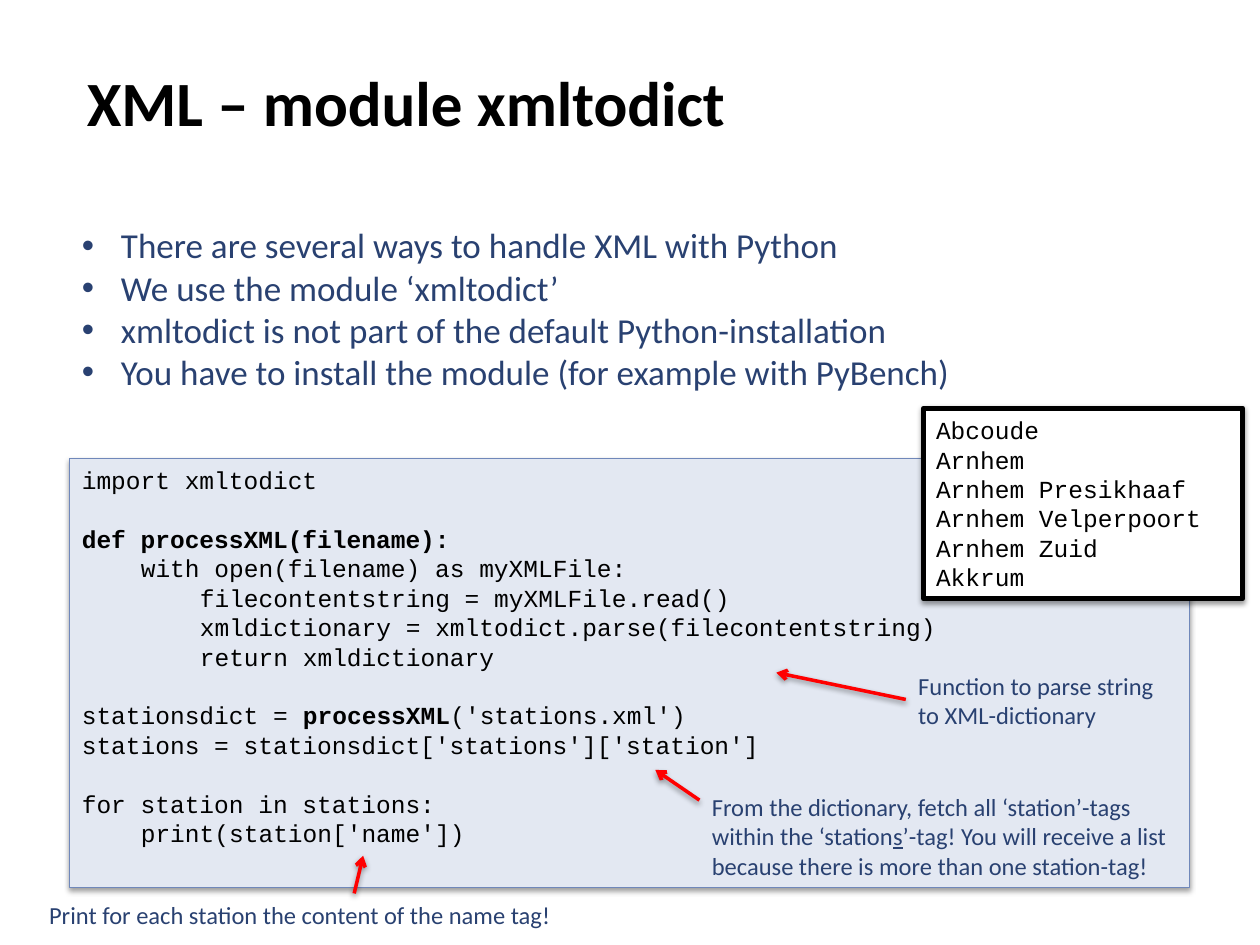
from dataclasses import dataclass
from typing import NamedTuple, Optional

from lxml.etree import SubElement
from pptx import Presentation
from pptx.dml.color import RGBColor
from pptx.enum.shapes import MSO_CONNECTOR, MSO_SHAPE
from pptx.enum.text import MSO_ANCHOR, PP_ALIGN
from pptx.oxml.ns import qn
from pptx.util import Cm, Pt

COLORS = {"navy": "294171", "black": "000000", "white": "FFFFFF",
          "panel": "E3E8F2", "edge": "7088BA", "red": "FF0000"}
CODE_INDENT = 1.19
BULLET_INDENT = 0.79


class Run(NamedTuple):
    """A stretch of text with one format."""
    text: str
    bold: bool = False
    underline: bool = False


@dataclass
class Line:
    """A paragraph with its code level and an optional gap of one line above."""
    runs: list[Run]
    level: int = 0
    gap: bool = False


@dataclass
class Block:
    """A text area; with a fill it is a framed panel."""
    box: tuple[float, float, float, float]
    lines: list[Line]
    size: int = 14
    font: str = "Calibri"
    color: str = "navy"
    bullets: bool = False
    anchor: MSO_ANCHOR = MSO_ANCHOR.MIDDLE
    fill: Optional[str] = None
    edge: str = "black"
    edge_width: float = 0.75


class Arrow(NamedTuple):
    """A pointer from a note to the code it explains."""
    start: tuple[float, float]
    end: tuple[float, float]


def rgb(name: str) -> RGBColor:
    """Return a palette colour."""
    return RGBColor.from_string(COLORS[name])


def plain(*texts: str) -> list[Line]:
    """Turn each text into a line of one run."""
    return [Line([Run(text)]) for text in texts]


def add_shadow(properties) -> None:
    """Put a soft downward shadow on the shape properties."""
    effects = properties.find(qn("a:effectLst"))
    if effects is None:
        effects = SubElement(properties, qn("a:effectLst"))
    shadow = SubElement(effects, qn("a:outerShdw"), blurRad="40000",
                        dist="20000", dir="5400000", rotWithShape="0")
    color = SubElement(shadow, qn("a:srgbClr"), val=COLORS["black"])
    SubElement(color, qn("a:alpha"), val="38000")


def add_bullet(paragraph) -> None:
    """Give the paragraph a round bullet with a hanging indent."""
    properties = paragraph._p.get_or_add_pPr()
    properties.set("marL", str(Cm(BULLET_INDENT)))
    properties.set("indent", str(-Cm(BULLET_INDENT)))
    SubElement(properties, qn("a:buFont"), typeface="Arial")
    SubElement(properties, qn("a:buChar"), char="•")


def write_line(paragraph, line: Line, block: Block) -> None:
    """Fill one paragraph in the style of its block."""
    pitch = Pt(1.2 * block.size)
    paragraph.alignment = PP_ALIGN.LEFT
    paragraph.line_spacing = pitch
    if line.gap:
        paragraph.space_before = pitch
    if line.level:
        paragraph._p.get_or_add_pPr().set("marL", str(Cm(CODE_INDENT * line.level)))
    if block.bullets:
        add_bullet(paragraph)
    for part in line.runs:
        run = paragraph.add_run()
        run.text = part.text
        run.font.name = block.font
        run.font.size = Pt(block.size)
        run.font.bold = part.bold
        run.font.underline = part.underline
        run.font.color.rgb = rgb(block.color)


def add_block(slide, block: Block) -> None:
    """Draw a text area, framed when it has a fill."""
    box = [Cm(length) for length in block.box]
    if block.fill:
        area = slide.shapes.add_shape(MSO_SHAPE.RECTANGLE, *box)
        area.shadow.inherit = False
        area.fill.solid()
        area.fill.fore_color.rgb = rgb(block.fill)
        area.line.color.rgb = rgb(block.edge)
        area.line.width = Pt(block.edge_width)
        add_shadow(area._element.spPr)
    else:
        area = slide.shapes.add_textbox(*box)
    frame = area.text_frame
    frame.word_wrap = True
    frame.vertical_anchor = block.anchor
    for index, line in enumerate(block.lines):
        paragraph = frame.add_paragraph() if index else frame.paragraphs[0]
        write_line(paragraph, line, block)


def add_arrow(slide, arrow: Arrow) -> None:
    """Draw a red pointer with its head at the end."""
    ends = [Cm(length) for length in arrow.start + arrow.end]
    pointer = slide.shapes.add_connector(MSO_CONNECTOR.STRAIGHT, *ends)
    pointer.line.color.rgb = rgb("red")
    pointer.line.width = Pt(2)
    SubElement(pointer.line._get_or_add_ln(), qn("a:tailEnd"), type="arrow")
    add_shadow(pointer._element.spPr)


CODE = [
    Line([Run("import xmltodict")]),
    Line([Run("def processXML(filename):", bold=True)], gap=True),
    Line([Run("with open(filename) as myXMLFile:")], 1),
    Line([Run("filecontentstring = myXMLFile.read()")], 2),
    Line([Run("xmldictionary = xmltodict.parse(filecontentstring)")], 2),
    Line([Run("return xmldictionary")], 2),
    Line([Run("stationsdict = "), Run("processXML", bold=True),
          Run("('stations.xml')")], gap=True),
    Line([Run("stations = stationsdict['stations']['station']")]),
    Line([Run("for station in stations:")], gap=True),
    Line([Run("print(station['name'])")], 1),
]
FETCH_NOTE = [Line([
    Run("From the dictionary, fetch all ‘station’-tags within the ‘station"),
    Run("s", underline=True),
    Run("’-tag! You will receive a list because there is more than one station-tag!"),
])]
CONTENT = [
    Block((1.4, 4.37, 22.58, 3.68), plain(
        "There are several ways to handle XML with Python",
        "We use the module ‘xmltodict’",
        "xmltodict is not part of the default Python-installation",
        "You have to install the module (for example with PyBench)",
    ), size=20, bullets=True),
    Block((1.5, 0, 23.9, 4.09), [Line([Run("XML – module xmltodict", bold=True)])],
          size=36, color="black"),
    Block((1.4, 9.25, 22.58, 8.64), CODE, font="Courier New", color="black",
          anchor=MSO_ANCHOR.TOP, fill="panel", edge="edge"),
    Block((18.26, 13.39, 5.69, 1.45),
          plain("Function to parse string to XML-dictionary")),
    Arrow((18.26, 14.1), (15.65, 13.56)),
    Block((14.1, 15.82, 10.11, 2.06), FETCH_NOTE),
    Arrow((14.1, 16.13), (13.21, 15.52)),
    Block((18.62, 8.23, 6.43, 3.84), plain(
        "Abcoude", "Arnhem", "Arnhem Presikhaaf", "Arnhem Velperpoort",
        "Arnhem Zuid", "Akkrum",
    ), font="Courier New", color="black", fill="white", edge_width=3),
    Block((0.74, 18.01, 11.96, 0.86),
          plain("Print for each station the content of the name tag!")),
    Arrow((7.14, 18.01), (7.32, 17.25)),
]

presentation = Presentation()
presentation.slide_width = Cm(25.4)
presentation.slide_height = Cm(19.05)
slide = presentation.slides.add_slide(presentation.slide_layouts[6])
for item in CONTENT:
    if isinstance(item, Arrow):
        add_arrow(slide, item)
    else:
        add_block(slide, item)
presentation.save("out.pptx")
